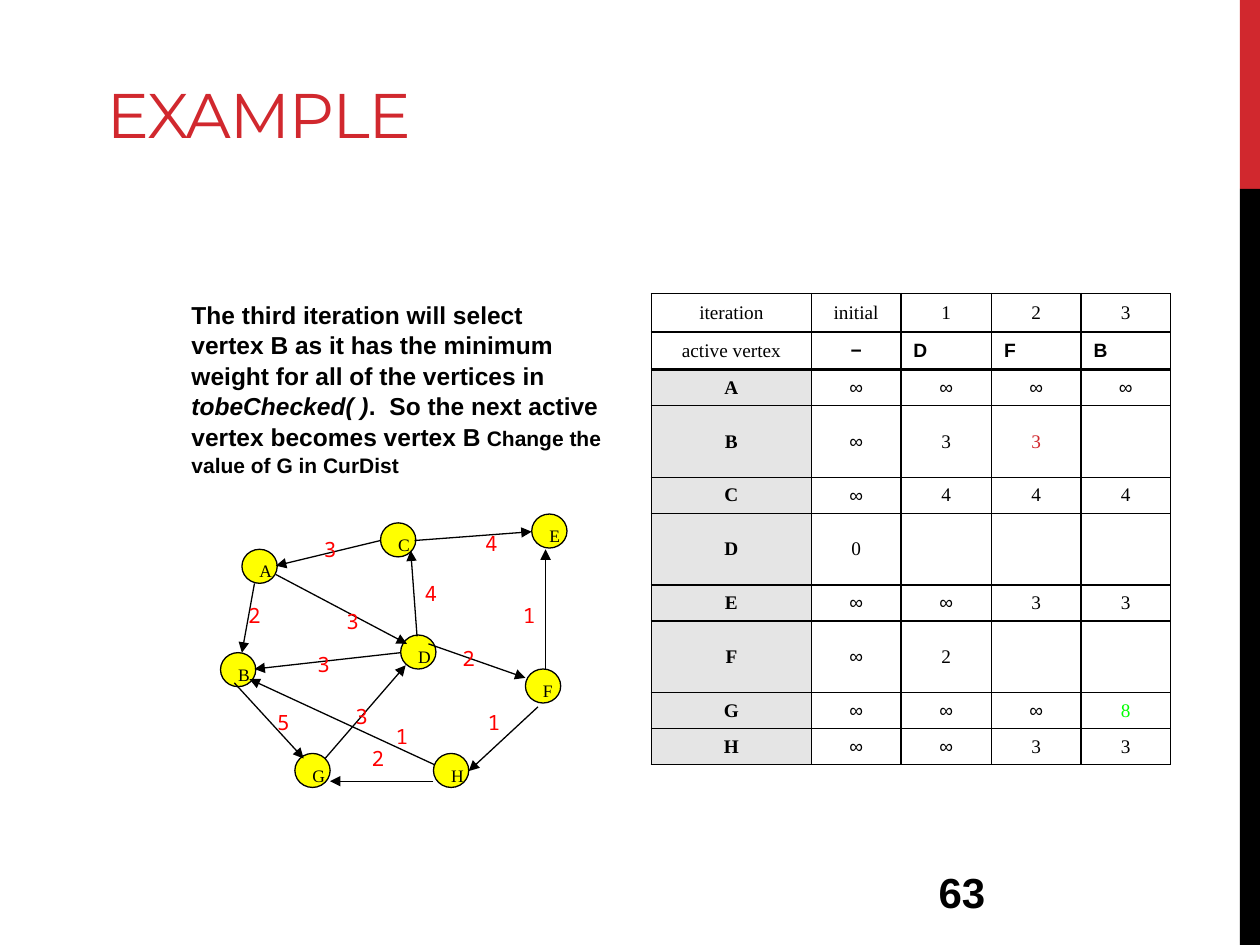
from lxml import etree
from pptx import Presentation, util as u
from pptx.dml.color import RGBColor
from pptx.enum import shapes, text
from pptx.oxml.ns import qn

COLORS = {"black": "000000", "white": "FFFFFF", "brand": "D1282E", "grey": "E5E5E5",
          "node": "FFFF00", "weight": "FF0000", "changed": "00FF00"}
SERIF, SANS, MONO = "Times New Roman", "Arial", "Noto Sans Mono"
COLS, ROWS = 100, 75
CENTER, LEFT = text.PP_ALIGN.CENTER, text.PP_ALIGN.LEFT
TOP, MIDDLE, BOTTOM = (text.MSO_ANCHOR.TOP, text.MSO_ANCHOR.MIDDLE,
                       text.MSO_ANCHOR.BOTTOM)


class Board:
    """Draws on one slide; lengths are columns and rows of a 100 x 75 grid."""

    def __init__(self, prs):
        self.s = prs.slides.add_slide(prs.slide_layouts[6])
        self.col, self.row = prs.slide_width / COLS, prs.slide_height / ROWS

    def grid(self, x, y):
        return round(x * self.col), round(y * self.row)

    def color(self, name):
        return RGBColor.from_string(COLORS[name])

    def font(self, p, face, size, color="black", bold=False):
        f = p.font
        f.name, f.size, f.bold = face, u.Pt(size), bold
        f.color.rgb = self.color(color)

    def shape(self, kind, x, y, w, h, fill):
        sp = self.s.shapes.add_shape(kind, *self.grid(x, y), *self.grid(w, h))
        sp.shadow.inherit = False
        sp.fill.solid()
        sp.fill.fore_color.rgb = self.color(fill)
        sp.line.fill.background()
        return sp

    def text(self, x, y, w, h, runs, face, size, color="black", bold=False,
             align=LEFT, anchor=MIDDLE, wrap=True):
        """Add a one-paragraph text box and return its frame."""
        tf = self.s.shapes.add_textbox(*self.grid(x, y), *self.grid(w, h)).text_frame
        tf.word_wrap, tf.vertical_anchor = wrap, anchor
        p = tf.paragraphs[0]
        p.alignment = align
        self.font(p, face, size, color, bold)
        for words in runs:
            p.add_run().text = words
        return tf

    def node(self, name, x, y):
        sp = self.shape(shapes.MSO_SHAPE.OVAL, x, y, 2.8, 2.7, "node")
        sp.line.color.rgb, sp.line.width = self.color("black"), u.Pt(0.75)
        tf = sp.text_frame
        tf.vertical_anchor, tf.margin_right = TOP, 0
        p = tf.paragraphs[0]
        p.text, p.alignment = name, LEFT
        self.font(p, SERIF, 10)

    def arrow(self, start, end):
        c = self.s.shapes.add_connector(shapes.MSO_CONNECTOR.STRAIGHT,
                                        *self.grid(*start), *self.grid(*end))
        c.line.color.rgb, c.line.width = self.color("black"), u.Pt(0.75)
        etree.SubElement(c.line._get_or_add_ln(), qn("a:tailEnd"), type="triangle")
        etree.SubElement(c._element.spPr, qn("a:effectLst"))

    def weight(self, value, x, y):
        """Write an edge weight centred on a point."""
        w, h = 4, 2.3
        self.text(x - w / 2, y - h / 2, w, h, [value], MONO, 12, "weight",
                  align=CENTER, wrap=False)

    def borders(self, cell, **widths):
        tc_pr = cell._tc.get_or_add_tcPr()
        for side in "LRTB":
            ln = etree.SubElement(tc_pr, qn(f"a:ln{side}"),
                                  w=str(u.Pt(widths.get(side, 1))))
            fill = etree.SubElement(ln, qn("a:solidFill"))
            etree.SubElement(fill, qn("a:srgbClr"), val=COLORS["black"])

    def table(self, x, y, widths, heights, rows, colored):
        """Add the distance table: two heading rows, then one row a vertex."""
        frame = self.s.shapes.add_table(len(rows), len(widths), *self.grid(x, y),
                                        *self.grid(sum(widths), sum(heights)))
        t = frame.table
        t.first_row = t.horz_banding = False
        for column, w in zip(t.columns, widths):
            column.width = round(w * self.col)
        for i, (row, h) in enumerate(zip(rows, heights)):
            t.rows[i].height = round(h * self.row)
            for j, value in enumerate(row):
                cell = t.cell(i, j)
                cell.vertical_anchor = MIDDLE
                self.borders(cell, **{1: {"B": 2}, 2: {"T": 2}}.get(i, {}))
                if i < 2 or j == 0:
                    cell.fill.solid()
                    cell.fill.fore_color.rgb = self.color("white" if i < 2 else "grey")
                else:
                    cell.fill.background()
                active = i == 1 and j > 0
                p = cell.text_frame.paragraphs[0]
                p.text = value
                p.alignment = LEFT if active and j > 1 else CENTER
                self.font(p, SANS if active or value == "∞" else SERIF, 11,
                          colored.get((i, j), "black"), active or (i > 1 and j == 0))


NODES = {"A": (19.2, 43.6), "B": (17.5, 51.8), "C": (30.2, 41.5), "D": (31.8, 50.4),
         "E": (42.2, 40.8), "F": (41.7, 53.1), "G": (23.4, 59.8), "H": (34.4, 59.8)}

EDGES = [  # start, end, weight, centre of the weight
    ((30.2, 42.9), (21.9, 44.9), "3", (26.2, 43.6)),  # C-A
    ((32.9, 42.9), (42.2, 42.2), "4", (39, 43.1)),    # C-E
    ((20.2, 46.3), (19.2, 51.8), "2", (20.2, 48.8)),  # A-B
    ((21.9, 45.6), (32.3, 51.1), "3", (28, 49.3)),    # A-D
    ((33.1, 50.5), (32.6, 43.7), "4", (34.2, 47.1)),  # D-C
    ((34, 51.1), (41.7, 53.8), "2", (37.2, 52.2)),    # D-F
    ((31.8, 51.8), (20.2, 53.1), "3", (25.7, 52.7)),  # D-B
    ((43.3, 53.1), (43.3, 43.6), "1", (42, 48.8)),    # F-E
    ((42.7, 56.1), (37.2, 61.2), "1", (39.2, 57.3)),  # F-H
    ((18.6, 54.2), (24.1, 60.2), "5", (22.5, 57.3)),  # B-G
    ((25.8, 60.2), (32.2, 52.8), "3", (28.7, 56.8)),  # G-D
    ((34.5, 60.7), (19.8, 53.9), "1", (31.9, 58.4)),  # H-B
    ((34.4, 62), (26.2, 62), "2", (30, 60.2)),        # H-G
]

DISTANCES = [
    ["iteration", "initial", "1", "2", "3"],
    ["active vertex", "−", "D", "F", "B"],
    ["A", "∞", "∞", "∞", "∞"],
    ["B", "∞", "3", "3", ""],
    ["C", "∞", "4", "4", "4"],
    ["D", "0", "", "", ""],
    ["E", "∞", "∞", "3", "3"],
    ["F", "∞", "2", "", ""],
    ["G", "∞", "∞", "∞", "8"],
    ["H", "∞", "∞", "3", "3"],
]


def main():
    prs = Presentation()
    prs.slide_width, prs.slide_height = u.Inches(10), u.Inches(7.5)
    board = Board(prs)

    rect = shapes.MSO_SHAPE.RECTANGLE
    board.shape(rect, 98.4, 0, 1.6, 15, "brand")
    board.shape(rect, 98.4, 15, 1.6, 60, "black")

    title = board.text(7.5, 1.7, 75.8, 10.8, ["EXAMPLE"], "Montserrat", 36, "brand",
                       anchor=BOTTOM)
    title.paragraphs[0].runs[0].font._element.set("spc", "-60")

    body = board.text(15.2, 23.7, 32.6, 14.5, [
        "The third iteration will select vertex B as it has the minimum weight "
        "for all of the vertices in ", "tobeChecked( )",
        ".  So the next active vertex becomes vertex B",
        " Change the value of G in CurDist"], SANS, 14, bold=True, anchor=TOP)
    body.margin_left = body.margin_right = body.margin_top = 0
    p = body.paragraphs[0]
    p.line_spacing = 1.04
    p._p.get_or_add_pPr().set("indent", str(u.Inches(-0.07)))
    p.runs[1].font.italic = True
    p.runs[3].font.size = u.Pt(12)

    tall = {"B", "D", "F"}
    heights = [3.05, 3] + [5.7 if row[0] in tall else 2.85 for row in DISTANCES[2:]]
    board.table(51.7, 23.3, [12.7, 7.1, 7.2, 7.1, 7.1], heights, DISTANCES,
                {(3, 3): "brand", (8, 4): "changed"})

    for name, place in NODES.items():
        board.node(name, *place)
    for start, end, value, place in EDGES:
        board.arrow(start, end)
        board.weight(value, *place)

    board.text(73.5, 68.3, 20.8, 5, ["63"], SANS, 24, bold=True)
    prs.save("out.pptx")


if __name__ == "__main__":
    main()
